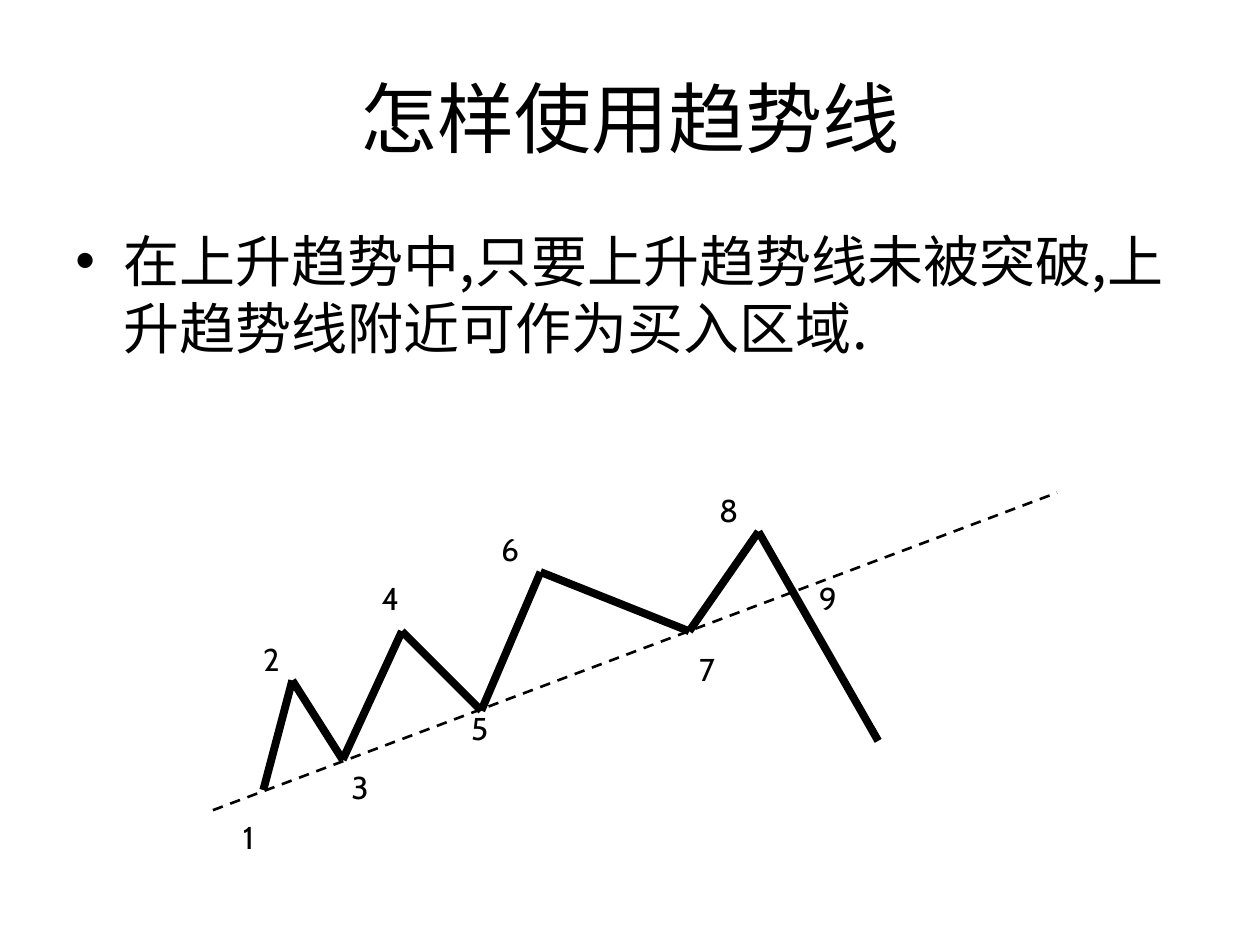
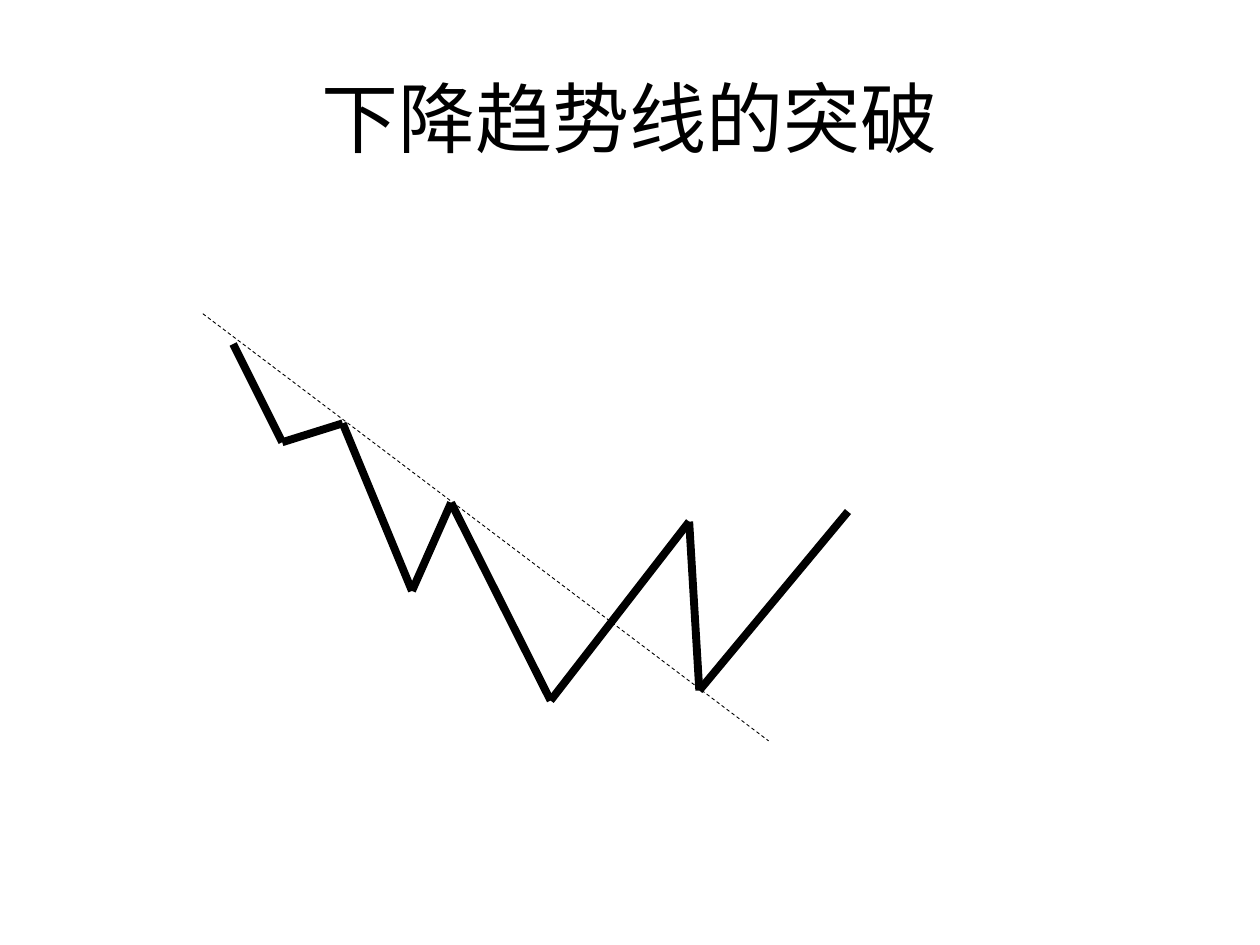
from dataclasses import dataclass
from itertools import pairwise

from lxml import etree
from pptx import Presentation
from pptx import util as u
from pptx.dml.color import RGBColor
from pptx.enum import dml, lang, shapes, text
from pptx.oxml import ns

PX = u.Inches(1) // 100  # 100 px to the inch


@dataclass(frozen=True)
class Theme:
    ink: RGBColor = RGBColor(0, 0, 0)
    paper: RGBColor = RGBColor(255, 255, 255)
    cjk_font: str = "Noto Sans CJK SC"
    label_font: str = "Cabin"
    title_size: int = 44
    body_size: int = 32
    label_size: int = 18
    price_width: float = 4.5


THEME = Theme()
TITLE_AREA = (50, 30, 900, 125)
BODY_AREA = (50, 175, 900, 495)
LABEL_SIZE = (34, 40)
BULLET_INDENT = 38

RISING_TREND = [(169, 643), (839, 391)]
RISING_PRICES = [(209, 627), (232, 540), (272, 603), (319, 501), (382, 564),
                 (429, 454), (547, 501), (602, 422), (697, 588)]
RISING_LABELS = [(183, 644), (199, 503), (269, 605), (293, 455), (364, 558),
                 (388, 416), (545, 511), (561, 385), (640, 455)]

FALLING_TREND = [(161, 249), (610, 588)]
FALLING_PRICES = [(185, 273), (224, 351), (272, 336), (327, 469), (358, 399),
                  (437, 556), (547, 414), (555, 548), (673, 406)]


def scaled(*lengths):
    return [length * PX for length in lengths]


def set_all(target, values):
    for name, value in values.items():
        setattr(target, name, value)


def add_xml(parent, tag, **attributes):
    return etree.SubElement(parent, ns.qn(tag), attributes)


def add_text(slide, area, words, size, font, bullet=False, align=None, **frame):
    box = slide.shapes.add_textbox(*scaled(*area))
    set_all(box.text_frame, {"word_wrap": True, **frame})
    para = box.text_frame.paragraphs[0]
    if bullet:
        props = para._p.get_or_add_pPr()
        indent = BULLET_INDENT * PX
        props.set("marL", str(indent))
        props.set("indent", str(-indent))
        add_xml(props, "a:buFont", typeface="Arial")
        add_xml(props, "a:buChar", char="•")
    if align is not None:
        para.alignment = align
    span = para.add_run()
    span.text = words
    set_all(span.font, {"size": u.Pt(size), "name": font})
    span.font.color.rgb = THEME.ink
    if font == THEME.cjk_font:
        span.font.language_id = lang.MSO_LANGUAGE_ID.SIMPLIFIED_CHINESE
        add_xml(span._r.get_or_add_rPr(), "a:ea", typeface=font)


def add_title(slide, words):
    add_text(slide, TITLE_AREA, words, THEME.title_size, THEME.cjk_font,
             align=text.PP_ALIGN.CENTER,
             vertical_anchor=text.MSO_ANCHOR.MIDDLE)


def add_path(slide, points, **line_format):
    """Join consecutive points with straight connectors."""
    for start, end in pairwise(points):
        line = slide.shapes.add_connector(
            shapes.MSO_CONNECTOR.STRAIGHT, *scaled(*start, *end))
        line.line.color.rgb = THEME.ink
        set_all(line.line, line_format)
        add_xml(line._element.spPr, "a:effectLst")


def add_price_diagram(slide, trend, prices, trend_width):
    add_path(slide, trend, width=u.Pt(trend_width),
             dash_style=dml.MSO_LINE.DASH)
    add_path(slide, prices, width=u.Pt(THEME.price_width))


def add_turning_points(slide, corners):
    for number, corner in enumerate(corners, start=1):
        add_text(slide, (*corner, *LABEL_SIZE), str(number),
                 THEME.label_size, THEME.label_font, word_wrap=False,
                 auto_size=text.MSO_AUTO_SIZE.SHAPE_TO_FIT_TEXT)


def add_slide(deck, title):
    slide = deck.slides.add_slide(deck.slide_layouts[6])
    fill = slide.background.fill
    fill.solid()
    fill.fore_color.rgb = THEME.paper
    add_title(slide, title)
    return slide


def main():
    deck = Presentation()
    deck.slide_width, deck.slide_height = scaled(1000, 750)

    rising = add_slide(deck, "怎样使用趋势线")
    add_text(rising, BODY_AREA,
             "在上升趋势中,只要上升趋势线未被突破,上升趋势线附近可作为买入区域.",
             THEME.body_size, THEME.cjk_font, bullet=True)
    add_price_diagram(rising, RISING_TREND, RISING_PRICES, trend_width=1.5)
    add_turning_points(rising, RISING_LABELS)

    falling = add_slide(deck, "下降趋势线的突破")
    add_price_diagram(falling, FALLING_TREND, FALLING_PRICES, trend_width=0.5)

    deck.save("out.pptx")


if __name__ == "__main__":
    main()
